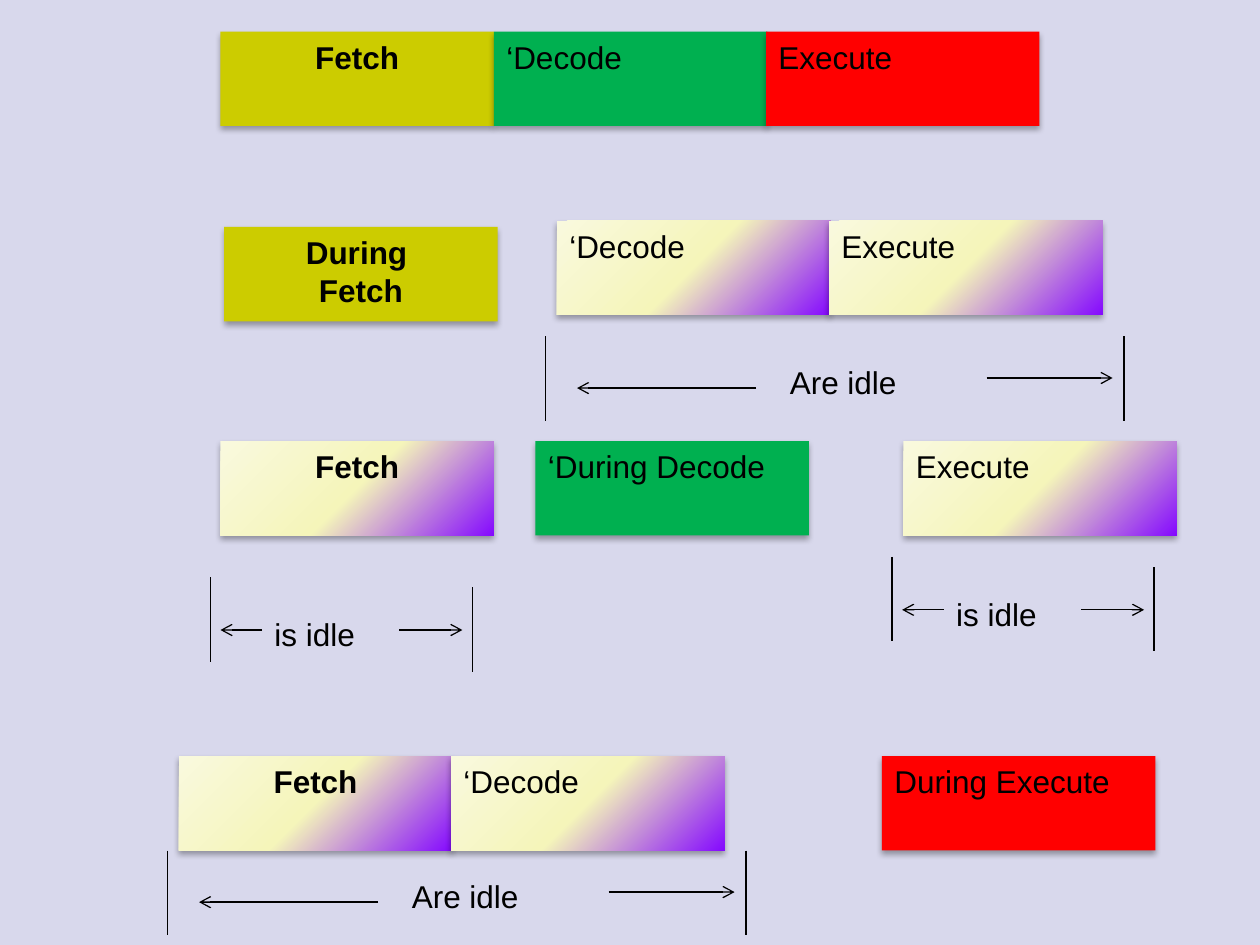
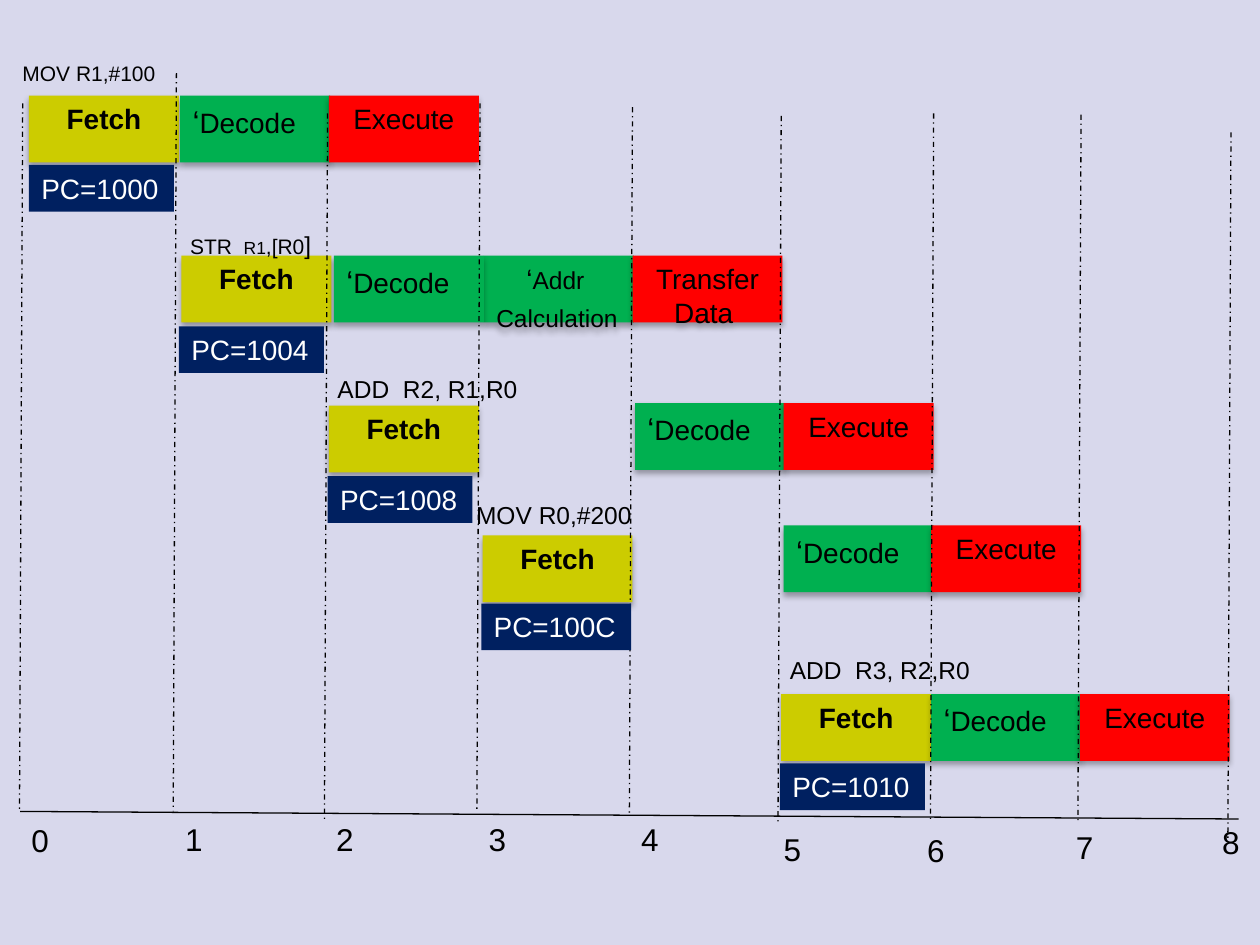
from lxml import etree
from pptx import Presentation
from pptx.dml.color import RGBColor
from pptx.enum.dml import MSO_LINE
from pptx.enum.shapes import MSO_CONNECTOR, MSO_SHAPE
from pptx.enum.text import MSO_ANCHOR, MSO_AUTO_SIZE, PP_ALIGN
from pptx.oxml.ns import qn
from pptx.util import Inches, Pt

RECT, LINE = MSO_SHAPE.RECTANGLE, MSO_CONNECTOR.STRAIGHT
LEFT, MID = PP_ALIGN.LEFT, PP_ALIGN.CENTER
TOP, GROW = MSO_ANCHOR.TOP, MSO_AUTO_SIZE.SHAPE_TO_FIT_TEXT
DASH = MSO_LINE.DASH_DOT
FONT = "Arial"
HUES = {
    "page": "D8D8EC", "ink": "000000", "white": "FFFFFF", "navy": "002060",
    "fetch": "CCCC00", "decode": "00B050", "execute": "FF0000",
}
FADE = [(0, "850AFF"), (50, "F5F5BA"), (100, "F9F9DE")]

STAGE = (2.17, 0.75)
STAGES = [
    ("Fetch", "fetch", 1.75, 0.25),
    ("‘Decode", "decode", 3.92, 0.25),
    ("Execute", "execute", 6.08, 0.25),
    ("During \nFetch", "fetch", 1.78, 1.8),
    ("‘Decode", "idle", 4.42, 1.75),
    ("Execute", "idle", 6.58, 1.75),
    ("Fetch", "idle", 1.75, 3.5),
    ("‘During Decode", "decode", 4.25, 3.5),
    ("Execute", "idle", 7.17, 3.5),
    ("Fetch", "idle", 1.42, 6),
    ("‘Decode", "idle", 3.58, 6),
    ("During Execute", "execute", 7, 6),
]
BAR = 0.67
PAIR = {
    "text": "Are idle", "at": (1.84, 0.16),
    "bars": [(0, 0), (4.59, 0)],
    "arrows": [(1.67, 0.25, 0.41), (3.5, 4.5, 0.33)],
}
SOLO = {
    "text": "is idle", "at": (0.41, 0.25),
    "bars": [(0, 0), (2.08, 0.08)],
    "arrows": [(0.41, 0.08, 0.42), (1.5, 2, 0.42)],
}
SPANS = [(PAIR, 4.33, 2.67), (SOLO, 1.67, 4.58), (SOLO, 7.08, 4.42), (PAIR, 1.33, 6.75)]

CELL = (1.19, 0.53)
WORDS = {
    "fetch": [[("Fetch", 16)]],
    "decode": [[("‘", 18), ("Decode", 16)]],
    "addr": [[("‘", 16), ("Addr ", 14)], [("Calculation", 14)]],
    "move": [[("Transfer", 16)], [("Data ", 16)]],
    "execute": [[("Execute", 16)]],
}
TINTS = {"addr": "decode", "move": "execute"}
CELLS = [
    (0.76, [("fetch", 0.23), ("decode", 1.43), ("execute", 2.61)]),
    (2.03, [("fetch", 1.44), ("addr", 3.84), ("move", 5.02), ("decode", 2.65)]),
    (3.22, [("fetch", 2.61)]),
    (3.2, [("decode", 5.04), ("execute", 6.22)]),
    (4.25, [("fetch", 3.83)]),
    (4.17, [("decode", 6.22), ("execute", 7.39)]),
    (5.51, [("fetch", 6.2), ("decode", 7.39), ("execute", 8.57)]),
]
CODES = [
    ([("MOV R1,#100", 12)], 0.08, 0.43, 1.32, 0.3),
    ([("STR  ", 12), ("R1", 10), (",[R0", 12), ("]", 14)], 1.41, 1.78, 1.25, 0.34),
    ([("ADD  R2, R1,R0", 14)], 2.58, 2.92, 2.01, 0.34),
    ([("MOV R0,#200", 14)], 3.68, 3.92, 1.65, 0.34),
    ([("ADD  R3, R2,R0", 14)], 6.17, 5.15, 1.67, 0.34),
]
COUNTS = [
    ("PC=1000", 0.23, 1.31, 1.15),
    ("PC=1004", 1.42, 2.59, 1.15),
    ("PC=1008", 2.6, 3.78, 1.15),
    ("PC=100C", 3.82, 4.79, 1.19),
    ("PC=1010", 6.19, 6.06, 1.15),
]
TICKS = [
    (0.18, 0.82, 6.44), (1.4, 0.58, 6.44), (2.6, 0.9, 6.52),
    (3.81, 0.82, 6.44), (5.02, 0.85, 6.47), (6.2, 0.92, 6.54),
    (7.41, 0.9, 6.52), (8.58, 0.91, 6.53), (9.77, 1.05, 6.67),
]
LEAN = 0.025
TIMES = [
    (0.15, 6.47), (1.37, 6.46), (2.57, 6.46), (3.78, 6.46), (4.99, 6.46),
    (6.12, 6.54), (7.26, 6.55), (8.44, 6.52), (9.6, 6.48),
]


def rgb(name):
    return RGBColor.from_string(HUES[name])


def node(up, tag, **keys):
    return etree.SubElement(up, qn("a:" + tag), {k: str(v) for k, v in keys.items()})


def shade(shape):
    fx = node(shape._element.spPr, "effectLst")
    drop = node(fx, "outerShdw", blurRad=Pt(3.5), dist=Pt(2.2), dir=5400000, rotWithShape=0)
    node(node(drop, "srgbClr", val=HUES["ink"]), "alpha", val=32000)


def fade(shape):
    grad = etree.Element(qn("a:gradFill"), rotWithShape="1")
    stops = node(grad, "gsLst")
    for pos, tone in FADE:
        node(node(stops, "gs", pos=pos * 1000), "srgbClr", val=tone)
    node(node(grad, "path", path="circle"), "fillToRect", l=100000, t=100000)
    shape._element.spPr.find(qn("a:prstGeom")).addnext(grad)


def write(shape, paras, hue="ink", bold=False, align=LEFT):
    frame = shape.text_frame
    frame.word_wrap = True
    frame.vertical_anchor = TOP
    for i, runs in enumerate(paras):
        para = frame.add_paragraph() if i else frame.paragraphs[0]
        para.alignment = align
        for text, size in runs:
            run = para.add_run()
            run.text = text
            run.font.name, run.font.size, run.font.bold = FONT, Pt(size), bold
            run.font.color.rgb = rgb(hue)


def box(slide, x, y, w, h, hue):
    shape = slide.shapes.add_shape(RECT, *map(Inches, (x, y, w, h)))
    shape.line.fill.background()
    if hue == "idle":
        fade(shape)
    else:
        shape.fill.solid()
        shape.fill.fore_color.rgb = rgb(hue)
    if hue == "navy":
        shape.shadow.inherit = False
    else:
        shade(shape)
    return shape


def label(slide, runs, x, y, w, h):
    shape = slide.shapes.add_textbox(*map(Inches, (x, y, w, h)))
    write(shape, [runs])
    shape.text_frame.auto_size = GROW


def rule(slide, x1, y1, x2, y2, dash=None, arrow=False):
    line = slide.shapes.add_connector(LINE, *map(Inches, (x1, y1, x2, y2)))
    line.line.color.rgb = rgb("ink")
    line.line.width = Pt(0.75)
    if dash:
        line.line.dash_style = dash
    if arrow:
        node(line.line._get_or_add_ln(), "tailEnd", type="arrow")
    node(line._element.spPr, "effectLst")


def page(deck):
    slide = deck.slides.add_slide(deck.slide_layouts[6])
    slide.background.fill.solid()
    slide.background.fill.fore_color.rgb = rgb("page")
    return slide


def draw_idle(slide):
    for text, hue, x, y in STAGES:
        head = "Fetch" in text
        paras = [[(part, 18)] for part in text.split("\n")]
        write(box(slide, x, y, *STAGE, hue), paras, bold=head, align=MID if head else LEFT)
    for span, x, y in SPANS:
        for dx, dy in span["bars"]:
            rule(slide, x + dx, y + dy, x + dx, y + dy + BAR)
        for start, end, dy in span["arrows"]:
            rule(slide, x + start, y + dy, x + end, y + dy, arrow=True)
        dx, dy = span["at"]
        label(slide, [(span["text"], 18)], x + dx, y + dy, 1.06, 0.4)


def draw_time(slide):
    for y, row in CELLS:
        for kind, x in row:
            shape = box(slide, x, y, *CELL, TINTS.get(kind, kind))
            align = LEFT if kind == "decode" else MID
            write(shape, WORDS[kind], bold=kind == "fetch", align=align)
            if kind == "addr":
                last = shape.text_frame.paragraphs[1]
                last.alignment = LEFT
                last.space_before = Pt(4.5)
    for runs, *at in CODES:
        label(slide, runs, *at)
    for x, top, end in TICKS:
        rule(slide, x, top, x - LEAN, end, dash=DASH)
    for text, x, y, w in COUNTS:
        shape = box(slide, x, y, w, 0.37, "navy")
        write(shape, [[(text, 16)]], hue="white")
        shape.text_frame.auto_size = GROW
    rule(slide, 0.16, 6.44, 9.83, 6.5)
    for i, (x, y) in enumerate(TIMES):
        label(slide, [(str(i), 18)], x, y, 0.31, 0.4)


def main():
    deck = Presentation()
    deck.slide_width, deck.slide_height = Inches(10), Inches(7.5)
    for draw in (draw_idle, draw_time):
        draw(page(deck))
    deck.save("out.pptx")


if __name__ == "__main__":
    main()
